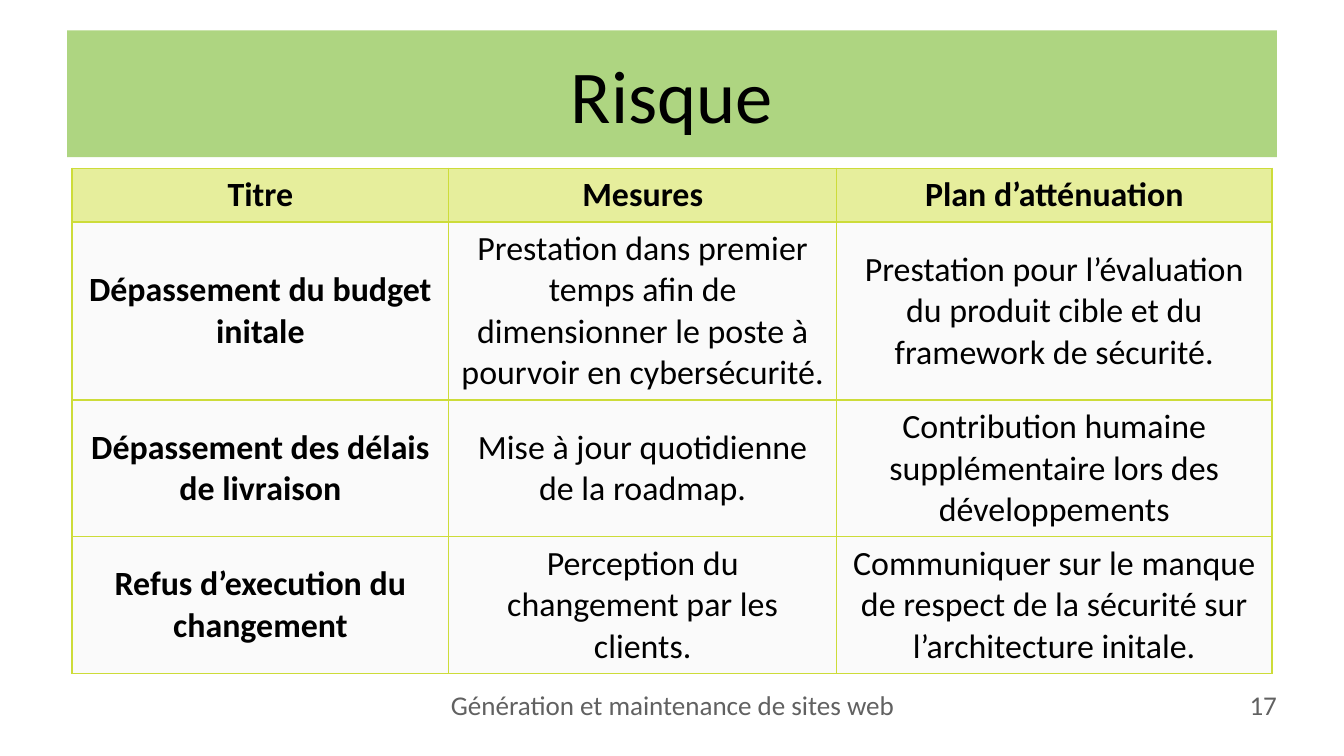
from lxml import etree
from pptx import Presentation
from pptx.dml.color import RGBColor
from pptx.enum.shapes import MSO_SHAPE
from pptx.enum.text import MSO_ANCHOR, PP_ALIGN
from pptx.oxml.ns import qn
from pptx.util import Inches, Pt

RECTANGLE = MSO_SHAPE.RECTANGLE
TOP, MIDDLE = MSO_ANCHOR.TOP, MSO_ANCHOR.MIDDLE
CENTER, RIGHT = PP_ALIGN.CENTER, PP_ALIGN.RIGHT

COLORS = {
    "banner": "AED581",
    "header": "E6EE9C",
    "body": "FAFAFA",
    "border": "CDDC39",
    "text": "000000",
    "footer": "616161",
}
BORDER_WIDTH = Pt(0.85)
COLUMN_WIDTHS = [3.09, 3.18, 3.57]
ROW_HEIGHTS = [0.44, 1.46, 1.12, 1.12]
RISKS = [
    ["Titre", "Mesures", "Plan d’atténuation"],
    ["Dépassement du budget initale",
     "Prestation dans premier temps afin de dimensionner le poste à pourvoir en cybersécurité.",
     "Prestation pour l’évaluation du produit cible et du framework de sécurité."],
    ["Dépassement des délais de livraison",
     "Mise à jour quotidienne de la roadmap.",
     "Contribution humaine supplémentaire lors des développements"],
    ["Refus d’execution du changement",
     "Perception du changement par les clients.",
     "Communiquer sur le manque de respect de la sécurité sur l’architecture initale."],
]


def set_all(target, values):
    for name, value in values.items():
        setattr(target, name, value)


class SlideBuilder:
    def __init__(self, page, font="Calibri"):
        self.page = page
        self.font = font

    def paint(self, target, color):
        target.fill.solid()
        target.fill.fore_color.rgb = RGBColor.from_string(COLORS[color])

    def add_text(self, frame, text, size, color="text", align=CENTER, bold=False):
        para = frame.paragraphs[0]
        para.alignment = align
        span = para.add_run()
        span.text = text
        set_all(span.font, {"name": self.font, "size": Pt(size), "bold": bold})
        span.font.color.rgb = RGBColor.from_string(COLORS[color])

    def frame(self, box, anchor):
        """Return the wrapped, margin-free text frame of a box."""
        set_all(box.text_frame, {
            "word_wrap": True, "vertical_anchor": anchor,
            "margin_left": 0, "margin_right": 0, "margin_top": 0, "margin_bottom": 0,
        })
        return box.text_frame

    def banner(self, text, *bounds):
        box = self.page.shapes.add_shape(RECTANGLE, *map(Inches, bounds))
        box.shadow.inherit = False
        self.paint(box, "banner")
        box.line.fill.background()
        self.add_text(self.frame(box, MIDDLE), text, 44)

    def footer(self, text, align, *bounds):
        box = self.page.shapes.add_textbox(*map(Inches, bounds))
        self.add_text(self.frame(box, TOP), text, 16, "footer", align)

    def outline(self, cell):
        properties = cell._tc.get_or_add_tcPr()
        for side in ("a:lnL", "a:lnR", "a:lnT", "a:lnB"):
            line = etree.SubElement(properties, qn(side), w=str(BORDER_WIDTH))
            fill = etree.SubElement(line, qn("a:solidFill"))
            etree.SubElement(fill, qn("a:srgbClr"), val=COLORS["border"])

    def table(self, rows, widths, heights, left, top):
        bounds = map(Inches, (left, top, sum(widths), sum(heights)))
        table = self.page.shapes.add_table(len(rows), len(widths), *bounds).table
        set_all(table, {"first_row": False, "horz_banding": False})
        for column, width in zip(table.columns, widths):
            column.width = Inches(width)
        for row, height in zip(table.rows, heights):
            row.height = Inches(height)
        for i, texts in enumerate(rows):
            for j, text in enumerate(texts):
                cell = table.cell(i, j)
                self.outline(cell)
                self.paint(cell, "header" if i == 0 else "body")
                cell.vertical_anchor = MIDDLE
                self.add_text(cell.text_frame, text, 20, bold=i == 0 or j == 0)


def main():
    deck = Presentation()
    set_all(deck, {"slide_width": Inches(11.02), "slide_height": Inches(6.2)})
    builder = SlideBuilder(deck.slides.add_slide(deck.slide_layouts[6]))
    builder.banner("Risque", 0.55, 0.25, 9.92, 1.04)
    builder.table(RISKS, COLUMN_WIDTHS, ROW_HEIGHTS, 0.59, 1.38)
    builder.footer("Génération et maintenance de sites web", CENTER, 3.35, 5.65, 4.33, 0.43)
    builder.footer("17", RIGHT, 8.27, 5.65, 2.2, 0.43)
    deck.save("out.pptx")


if __name__ == "__main__":
    main()
